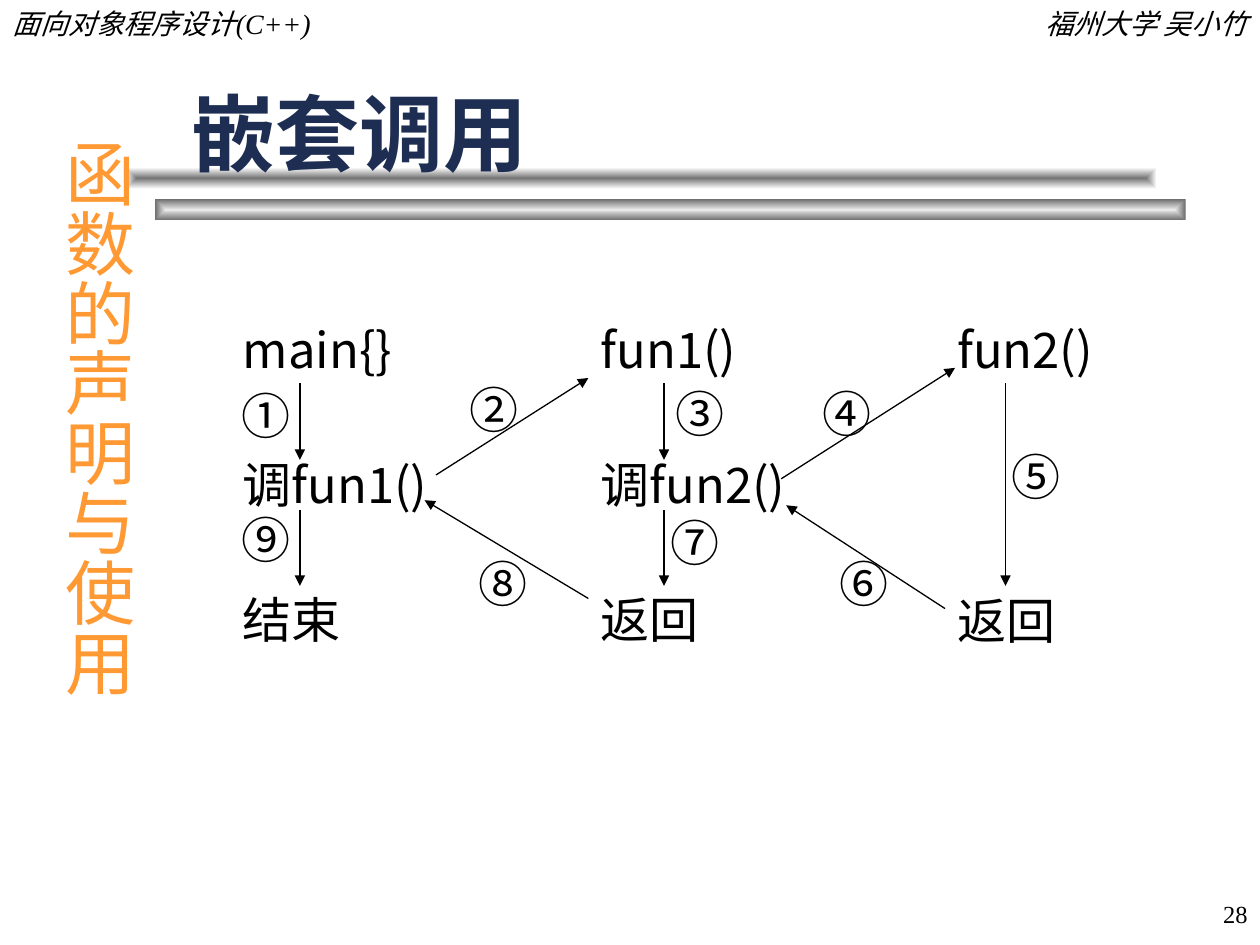
from lxml.etree import SubElement
from pptx import Presentation
from pptx.dml.color import RGBColor
from pptx.enum.shapes import MSO_CONNECTOR, MSO_SHAPE
from pptx.enum.text import MSO_ANCHOR, MSO_AUTO_SIZE, PP_ALIGN
from pptx.oxml import parse_xml
from pptx.oxml.ns import nsdecls, qn
from pptx.util import Inches, Pt

SERIF, SANS, BLACK = "Times New Roman", "Noto Sans CJK SC", "000000"
TITLE = "嵌套调用"
CHAPTER = "函数的声明与使用"
HEADERS = [("面向对象程序设计(C++)", 0, PP_ALIGN.LEFT),
           ("福州大学 吴小竹", 6.92, PP_ALIGN.RIGHT)]
PAGE = "28"
BARS = [(1.23, 1.58, "EAEAEA", "6C6C6C"), (1, 1.33, "767676", "FFFFFF")]
FUNCTIONS = [
    (1.83, 38.5, ["main{}", "调fun1()", "结束"]),
    (4.67, 38.5, ["fun1()", "调fun2()", "返回"]),
    (7.5, 116, ["fun2()", "返回"]),
]
TOP, CALL_END, RESUME, BOTTOM = 3.04, 3.65, 4.05, 4.65
ARROWS = [
    (2.38, TOP, 2.38, CALL_END), (2.38, RESUME, 2.38, BOTTOM),
    (3.46, 3.77, 4.67, 3), (4.67, 4.75, 3.37, 3.97),
    (5.27, TOP, 5.27, CALL_END), (5.27, RESUME, 5.27, BOTTOM),
    (6.2, 3.8, 7.58, 2.92), (7.98, TOP, 7.98, BOTTOM),
    (7.5, 4.83, 6.24, 4.01),
]
STEPS = [
    ("①", 1.92, 3.06), ("②", 3.73, 3.01), ("③", 5.36, 3.04),
    ("④", 6.53, 3.04), ("⑤", 8.03, 3.54), ("⑥", 6.66, 4.39),
    ("⑦", 5.32, 4.07), ("⑧", 3.8, 4.39), ("⑨", 1.92, 4.04),
]


def color(value):
    return RGBColor.from_string(value)


def style(paragraph, size, name, ink=BLACK, align=PP_ALIGN.LEFT):
    paragraph.alignment = align
    font = paragraph.font
    font.size, font.name = Pt(size), name
    font.color.rgb = color(ink)
    return font


def add_text(slide, lines, box, size, name, ink=BLACK, align=PP_ALIGN.LEFT,
             insets=(0.1, 0.05)):
    frame = slide.shapes.add_textbox(*map(Inches, box)).text_frame
    frame.word_wrap = True
    frame.margin_left = frame.margin_right = Inches(insets[0])
    frame.margin_top = frame.margin_bottom = Inches(insets[1])
    frame.text = "\n".join(lines)
    for paragraph in frame.paragraphs:
        style(paragraph, size, name, ink, align)
    return frame


def add_bar(slide, left, top, center, edge):
    bar = slide.shapes.add_shape(
        MSO_SHAPE.RECTANGLE, *map(Inches, (left, top, 8.18, 0.17)))
    bar.shadow.inherit = False
    bar.line.fill.background()
    bar.fill.background()
    properties = bar._element.spPr
    gradient = parse_xml(
        f'<a:gradFill {nsdecls("a")} rotWithShape="1"><a:gsLst>'
        f'<a:gs pos="0"><a:srgbClr val="{center}"/></a:gs>'
        f'<a:gs pos="100000"><a:srgbClr val="{edge}"/></a:gs></a:gsLst>'
        '<a:path path="rect"><a:fillToRect l="50000" t="50000" r="50000" '
        'b="50000"/></a:path></a:gradFill>')
    properties.replace(properties.find(qn("a:noFill")), gradient)


def add_arrow(slide, *ends):
    arrow = slide.shapes.add_connector(
        MSO_CONNECTOR.STRAIGHT, *map(Inches, ends))
    arrow.line.color.rgb = color(BLACK)
    arrow.line.width = Pt(0.75)
    SubElement(arrow.line._get_or_add_ln(), qn("a:tailEnd"), type="triangle")
    SubElement(arrow._element.spPr, qn("a:effectLst"))


def main():
    deck = Presentation()
    deck.slide_width, deck.slide_height = Inches(10), Inches(7.5)
    slide = deck.slides.add_slide(deck.slide_layouts[5])

    for bar in BARS:
        add_bar(slide, *bar)

    title = slide.shapes.title
    title.left, title.top, title.width, title.height = map(
        Inches, (1.42, 0.25, 7.83, 1.25))
    title.text_frame.text = TITLE
    title.text_frame.auto_size = MSO_AUTO_SIZE.NONE
    title.text_frame.vertical_anchor = MSO_ANCHOR.BOTTOM
    style(title.text_frame.paragraphs[0], 48, "Arial", "1E2E53").bold = True
    slide.shapes._spTree.append(title._element)

    for text, left, align in HEADERS:
        header = add_text(slide, [text], (left, 0, 3.08, 0.37), 16, SERIF,
                          align=align)
        header.paragraphs[0].font.italic = True

    page = add_text(slide, [PAGE], (7.92, 7, 2.08, 0.5), 14, SERIF,
                    align=PP_ALIGN.RIGHT)
    page.vertical_anchor = MSO_ANCHOR.MIDDLE

    chapter = add_text(slide, [CHAPTER], (0.3, 1, 0.86, 5.42), 40, SERIF,
                       "FF9933", PP_ALIGN.CENTER, (0.05, 0.1))
    chapter._txBody.bodyPr.set("vert", "eaVert")

    for left, gap, lines in FUNCTIONS:
        column = add_text(slide, lines, (left, 2.42, 1.83, 2.83), 28, SANS,
                          align=PP_ALIGN.JUSTIFY)
        for index, paragraph in enumerate(column.paragraphs):
            paragraph.line_spacing = 1.15
            if index:
                paragraph.space_before = Pt(gap)

    for arrow in ARROWS:
        add_arrow(slide, *arrow)

    for number, left, top in STEPS:
        add_text(slide, [number], (left, top, 0.33, 0.4), 28, SANS,
                 align=PP_ALIGN.JUSTIFY, insets=(0, 0))

    deck.save("out.pptx")


if __name__ == "__main__":
    main()
